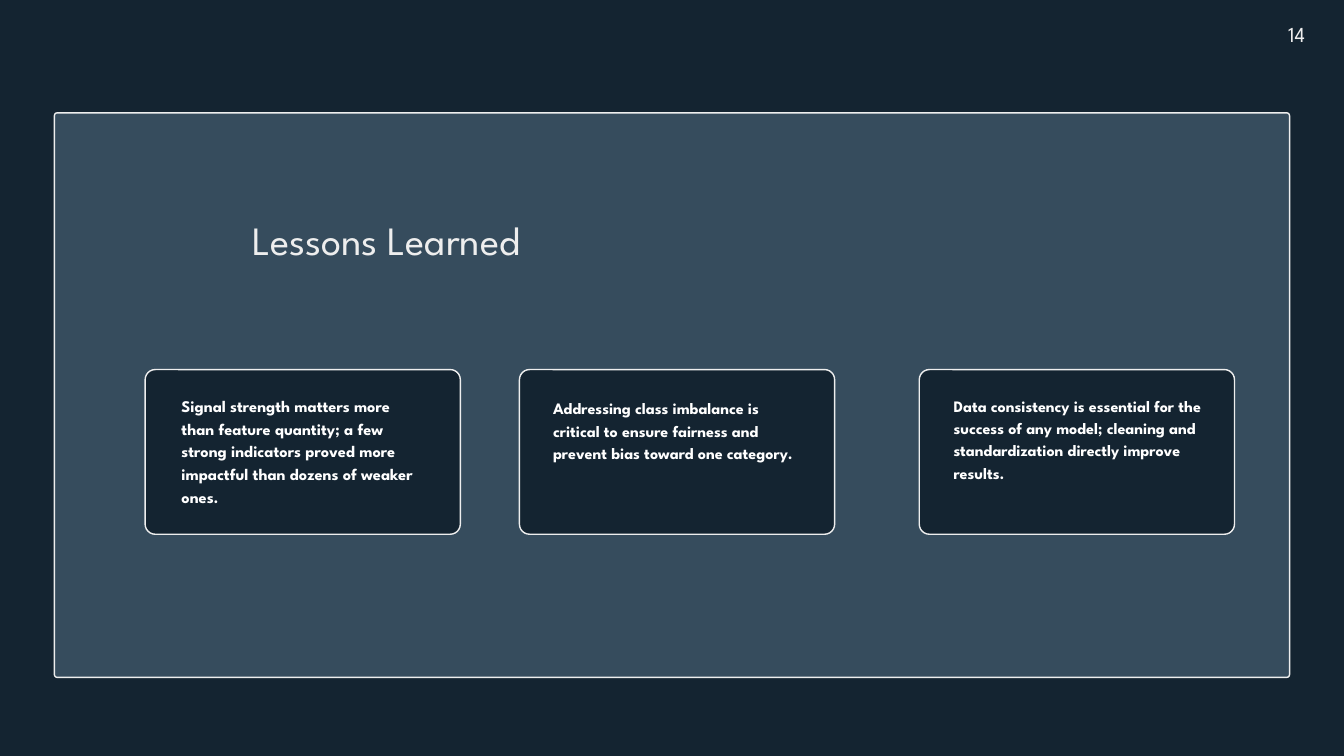
from pptx import Presentation
from pptx.dml.color import RGBColor
from pptx.enum.shapes import MSO_SHAPE
from pptx.enum.text import PP_ALIGN
from pptx.util import Inches, Pt

WIDTH, HEIGHT = Inches(20), Inches(11.25)
NAVY = RGBColor(0x14, 0x24, 0x31)
SLATE = RGBColor(0x36, 0x4C, 0x5D)
PALE = RGBColor(0xEE, 0xEE, 0xEE)
WHITE = RGBColor(0xFF, 0xFF, 0xFF)
FONT = "League Spartan"

CARD_TOP, CARD_WIDTH, CARD_HEIGHT = 48.89, 23.45, 21.78
# card left, text left, text top, text width, font size, line spacing, text
LESSONS = [
    (10.8, 13.5, 52, 18.05, 17.4, 24.3,
     "Signal strength matters more than feature quantity; a few strong "
     "indicators proved more impactful than dozens of weaker ones."),
    (38.65, 41.15, 52.36, 18.5, 17.1, 23.9,
     "Addressing class imbalance is critical to ensure fairness and "
     "prevent bias toward one category."),
    (68.4, 70.95, 52, 18.5, 17.1, 23.9,
     "Data consistency is essential for the success of any model; "
     "cleaning and standardization directly improve results."),
]


def place(left, top, width, height):
    """Turn percentages of the slide's width and height into lengths."""
    return (int(WIDTH * left / 100), int(HEIGHT * top / 100),
            int(WIDTH * width / 100), int(HEIGHT * height / 100))


def add_panel(s, box, fill, radius):
    """Add an outlined rounded rectangle; radius is in inches."""
    sp = s.shapes.add_shape(MSO_SHAPE.ROUNDED_RECTANGLE, *place(*box))
    sp.adjustments[0] = Inches(radius) / min(sp.width, sp.height)
    sp.shadow.inherit = False
    sp.fill.solid()
    sp.fill.fore_color.rgb = fill
    sp.line.color.rgb = PALE
    sp.line.width = Pt(1.5)


def add_text(s, box, text, size, spacing, color=PALE, bold=False,
             align=PP_ALIGN.LEFT):
    tf = s.shapes.add_textbox(*place(*box)).text_frame
    tf.word_wrap = True
    tf.margin_left = tf.margin_right = tf.margin_top = tf.margin_bottom = 0
    p = tf.paragraphs[0]
    p.text = text
    p.alignment = align
    p.line_spacing = Pt(spacing)
    p.font.name = FONT
    p.font.size = Pt(size)
    p.font.bold = bold
    p.font.color.rgb = color


def add_lesson(s, left, text_left, text_top, text_width, size, spacing, text):
    add_panel(s, (left, CARD_TOP, CARD_WIDTH, CARD_HEIGHT), NAVY, 0.15)
    add_text(s, (text_left, text_top, text_width, 17.5), text, size, spacing,
             WHITE, bold=True)


def main():
    prs = Presentation()
    prs.slide_width, prs.slide_height = WIDTH, HEIGHT
    s = prs.slides.add_slide(prs.slide_layouts[6])
    s.background.fill.solid()
    s.background.fill.fore_color.rgb = NAVY

    add_panel(s, (4.05, 14.93, 91.9, 74.67), SLATE, 0.04)
    add_text(s, (95.85, 2.22, 2.9, 3.73), "14", 22.9, 32)
    add_text(s, (12.05, 27.47, 33.35, 7.2), "Lessons Learned", 43, 60.1,
             align=PP_ALIGN.CENTER)
    for lesson in LESSONS:
        add_lesson(s, *lesson)

    prs.save("out.pptx")


if __name__ == "__main__":
    main()
